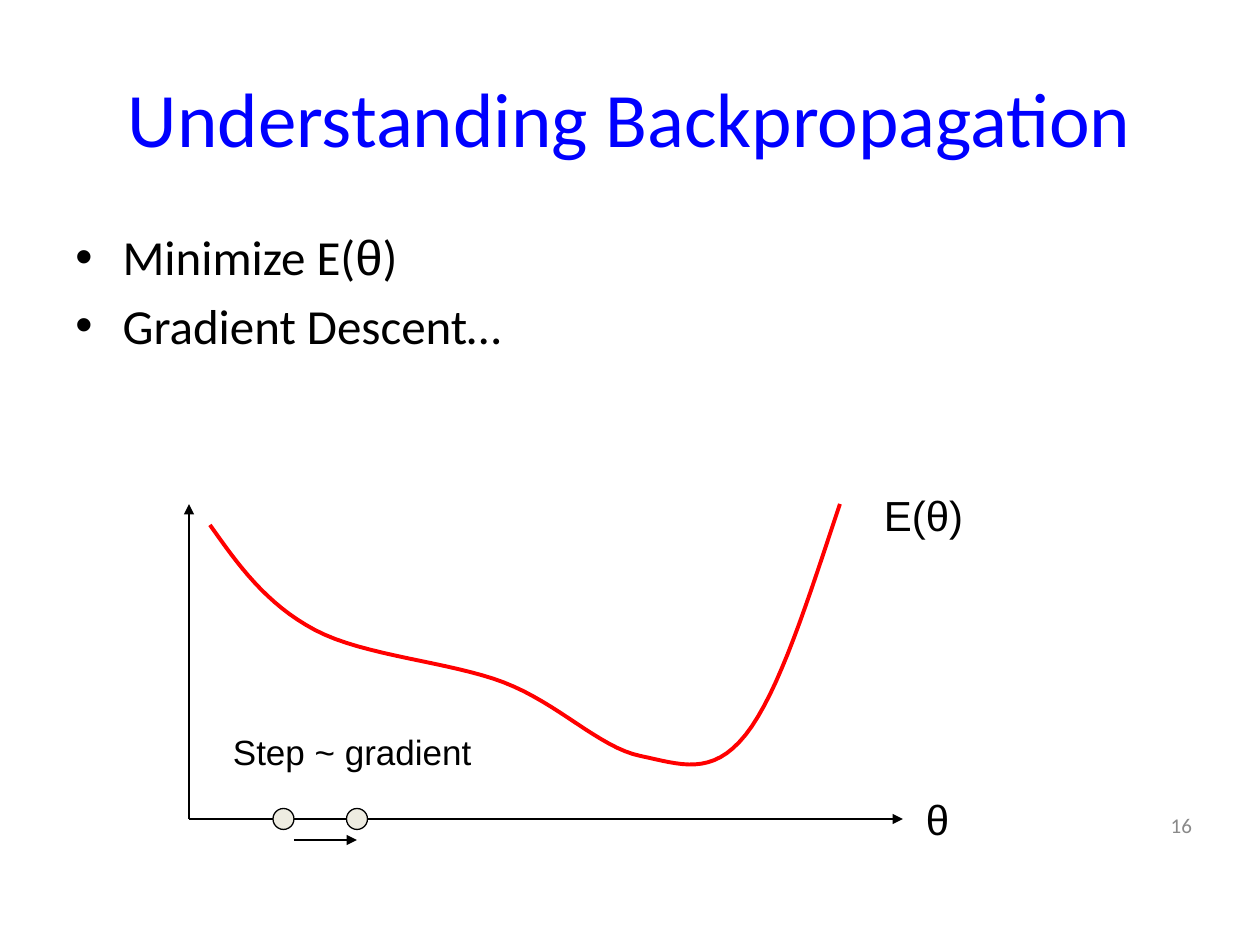
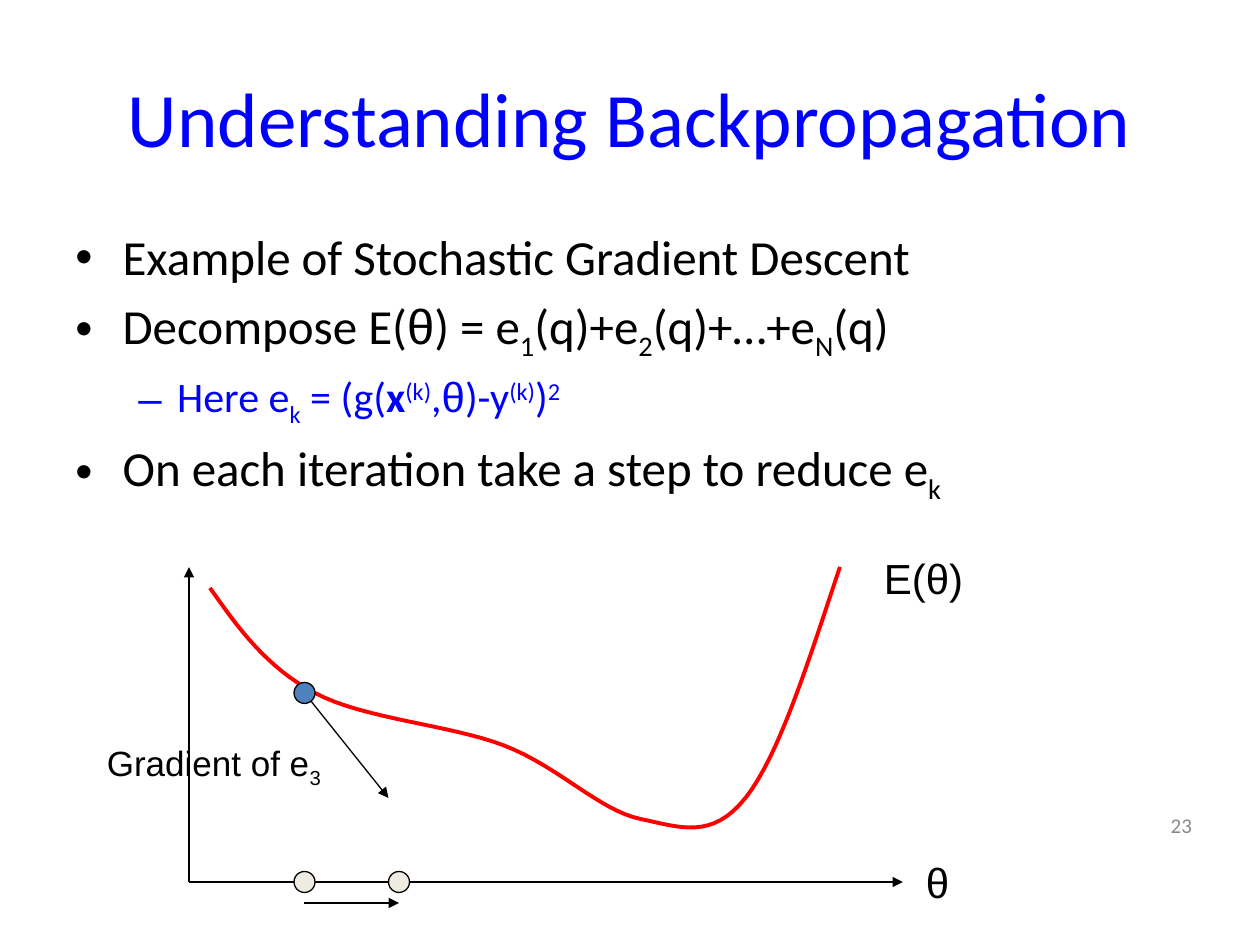
from typing import NamedTuple

from pptx import Presentation
from pptx.dml.color import RGBColor
from pptx.enum.shapes import MSO_CONNECTOR, MSO_SHAPE
from pptx.enum.text import MSO_ANCHOR, PP_ALIGN
from pptx.oxml.ns import qn
from pptx.util import Pt

PX = 7620  # EMU in one px, 120 px to the inch
WIDTH, HEIGHT = 1200, 900

BLUE = RGBColor(0x00, 0x00, 0xFF)
BLACK = RGBColor(0x00, 0x00, 0x00)
GREY = RGBColor(0x89, 0x89, 0x89)
RED = RGBColor(0xFF, 0x00, 0x00)
CREAM = RGBColor(0xEE, 0xEC, 0xE1)
STEEL = RGBColor(0x4F, 0x81, 0xBD)

SANS, ARIAL = "Calibri", "Arial"
LEFT, CENTER, RIGHT = PP_ALIGN.LEFT, PP_ALIGN.CENTER, PP_ALIGN.RIGHT
TOP, MIDDLE = MSO_ANCHOR.TOP, MSO_ANCHOR.MIDDLE
STRAIGHT, OVAL = MSO_CONNECTOR.STRAIGHT, MSO_SHAPE.OVAL

TITLE = "Understanding Backpropagation"
SUB, SUP = -25, 30
DOT = 20
ORIGIN = 180
START = (200, 500)
BENDS = [
    ((227, 538), (253, 575), (300, 600)),
    ((347, 625), (428, 630), (480, 650)),
    ((532, 670), (571, 712), (610, 720)),
    ((648, 728), (678, 740), (710, 700)),
    ((742, 660), (770, 570), (800, 480)),
]
STEPS = 16


class Box(NamedTuple):
    x: int
    y: int
    w: int
    h: int


class Bit(NamedTuple):
    text: str
    base: int = 0
    font: str = ""
    bold: bool = False


class Style(NamedTuple):
    size: int
    color: RGBColor = BLACK
    font: str = SANS


class Level(NamedTuple):
    style: Style
    mark: str
    margin: int
    hang: int


class Item(NamedTuple):
    level: Level
    bits: list[Bit]


class Arrow(NamedTuple):
    x1: int
    y1: int
    x2: int
    y2: int


class Dot(NamedTuple):
    x: int
    y: int
    fill: RGBColor = CREAM


class Label(NamedTuple):
    box: Box
    bits: list[Bit]
    style: Style


class Page(NamedTuple):
    number: str
    items: list[Item]
    drop: int
    marks: list[Arrow | Dot | Label]


HEAD = Style(44, BLUE)
FOOT = Style(12, GREY)
AXIS = Style(24, font=ARIAL)
NOTE = Style(20, font=ARIAL)
MAIN = Level(Style(28), "•", 45, 45)
DEEP = Level(Style(24, BLUE), "–", 97, 37)
THETA = Bit("θ", font=ARIAL)

PAGES = [
    Page("16", [
        Item(MAIN, [Bit("Minimize E("), THETA, Bit(")")]),
        Item(MAIN, [Bit("Gradient Descent…")]),
    ], 0, [
        Arrow(280, 800, 340, 800),
        Label(Box(210, 690, 320, 52), [Bit("Step ~ gradient")], NOTE),
        Dot(270, 780),
        Dot(340, 780),
    ]),
    Page("23", [
        Item(MAIN, [Bit("Example of Stochastic Gradient Descent")]),
        Item(MAIN, [
            Bit("Decompose E("), THETA, Bit(") = e"), Bit("1", SUB),
            Bit("(q)+e"), Bit("2", SUB), Bit("(q)+…+e"), Bit("N", SUB),
            Bit("(q)"),
        ]),
        Item(DEEP, [
            Bit("Here e"), Bit("k", SUB), Bit(" = (g("), Bit("x", bold=True),
            Bit("(k)", SUP), Bit(","), THETA, Bit(")-y"), Bit("(k)", SUP),
            Bit(")"), Bit("2", SUP),
        ]),
        Item(MAIN, [Bit("On each iteration take a step to reduce e"),
                    Bit("k", SUB)]),
    ], 60, [
        Arrow(290, 660, 370, 760),
        Dot(290, 650 + DOT // 2, STEEL),
        Label(Box(90, 700, 250, 52), [Bit("Gradient of e"), Bit("3", SUB)],
              NOTE),
        Dot(290, 840),
        Dot(380, 840),
        Arrow(290, 860, 380, 860),
    ]),
]


def scale(*sizes: int) -> list[int]:
    """Turn px into EMU."""
    return [size * PX for size in sizes]


def write(para, bits: list[Bit], style: Style) -> None:
    for bit in bits:
        run = para.add_run()
        run.text = bit.text
        font = run.font
        font.name = bit.font or style.font
        font.size = Pt(style.size)
        font.bold = bit.bold
        font.color.rgb = style.color
        if bit.base:
            run._r.get_or_add_rPr().set("baseline", str(bit.base * 1000))


def add_text(slide, box: Box, bits: list[Bit], style: Style,
             align=LEFT, anchor=TOP):
    frame = slide.shapes.add_textbox(*scale(*box)).text_frame
    frame.word_wrap = True
    frame.vertical_anchor = anchor
    para = frame.paragraphs[0]
    para.alignment = align
    write(para, bits, style)
    return frame


def set_bullet(para, level: Level) -> None:
    props = para._p.get_or_add_pPr()
    props.set("marL", str(level.margin * PX))
    props.set("indent", str(-level.hang * PX))
    face = props.makeelement(qn("a:buFont"), {"typeface": ARIAL})
    mark = props.makeelement(qn("a:buChar"), {"char": level.mark})
    props.extend([face, mark])


def add_list(slide, items: list[Item]) -> None:
    frame = add_text(slide, Box(60, 210, 1080, 594), [], MAIN.style)
    for i, item in enumerate(items):
        para = frame.add_paragraph() if i else frame.paragraphs[0]
        set_bullet(para, item.level)
        if i:
            para.space_before = Pt(item.level.style.size * 0.2)
        write(para, item.bits, item.level.style)


def add_title(slide) -> None:
    title = slide.shapes.title
    title.left, title.top, title.width, title.height = scale(60, 36, 1080, 150)
    frame = title.text_frame
    frame.vertical_anchor = MIDDLE
    frame.paragraphs[0].alignment = CENTER
    write(frame.paragraphs[0], [Bit(TITLE)], HEAD)


def add_arrow(slide, arrow: Arrow) -> None:
    shape = slide.shapes.add_connector(STRAIGHT, *scale(*arrow))
    shape.line.color.rgb = BLACK
    shape.line.width = Pt(0.75)
    props = shape._element.spPr
    line = shape.line._get_or_add_ln()
    line.append(line.makeelement(qn("a:tailEnd"), {"type": "triangle"}))
    props.append(props.makeelement(qn("a:effectLst"), {}))


def add_dot(slide, dot: Dot) -> None:
    half = DOT // 2
    shape = slide.shapes.add_shape(
        OVAL, *scale(dot.x - half, dot.y - half, DOT, DOT))
    shape.shadow.inherit = False
    shape.fill.solid()
    shape.fill.fore_color.rgb = dot.fill
    shape.line.color.rgb = BLACK
    shape.line.width = Pt(0.75)


def trace() -> list[tuple[float, float]]:
    """Sample the cubic bends of the error curve."""
    points = [START]
    for bend in BENDS:
        knots = (points[-1], *bend)
        for i in range(1, STEPS + 1):
            t = i / STEPS
            u = 1 - t
            parts = (u ** 3, 3 * u * u * t, 3 * u * t * t, t ** 3)
            points.append(tuple(
                sum(part * knot[axis] for part, knot in zip(parts, knots))
                for axis in (0, 1)))
    return points


def add_curve(slide, drop: int) -> None:
    points = [(round(x * PX), round((y + drop) * PX)) for x, y in trace()]
    pen = slide.shapes.build_freeform(*points[0])
    pen.add_line_segments(points[1:], close=False)
    shape = pen.convert_to_shape()
    shape.shadow.inherit = False
    shape.fill.background()
    shape.line.color.rgb = RED
    shape.line.width = Pt(2.25)


def add_graph(slide, drop: int) -> None:
    floor = 780 + drop
    add_arrow(slide, Arrow(ORIGIN, floor, 860, floor))
    add_arrow(slide, Arrow(ORIGIN, floor, ORIGIN, floor - 300))
    add_curve(slide, drop)
    add_text(slide, Box(830, floor - 320, 130, 60), [Bit("E(θ)")], AXIS)
    add_text(slide, Box(870, floor - 30, 130, 60), [Bit("θ")], AXIS)


def add_mark(slide, mark: Arrow | Dot | Label) -> None:
    if isinstance(mark, Arrow):
        add_arrow(slide, mark)
    elif isinstance(mark, Dot):
        add_dot(slide, mark)
    else:
        add_text(slide, *mark)


def add_page(deck, page: Page) -> None:
    slide = deck.slides.add_slide(deck.slide_layouts.get_by_name("Title Only"))
    add_title(slide)
    add_list(slide, page.items)
    add_text(slide, Box(1067, 752, 80, 68), [Bit(page.number)], FOOT,
             RIGHT, MIDDLE)
    add_graph(slide, page.drop)
    for mark in page.marks:
        add_mark(slide, mark)


def main() -> None:
    deck = Presentation()
    deck.slide_width, deck.slide_height = scale(WIDTH, HEIGHT)
    for page in PAGES:
        add_page(deck, page)
    deck.save("out.pptx")


if __name__ == "__main__":
    main()
